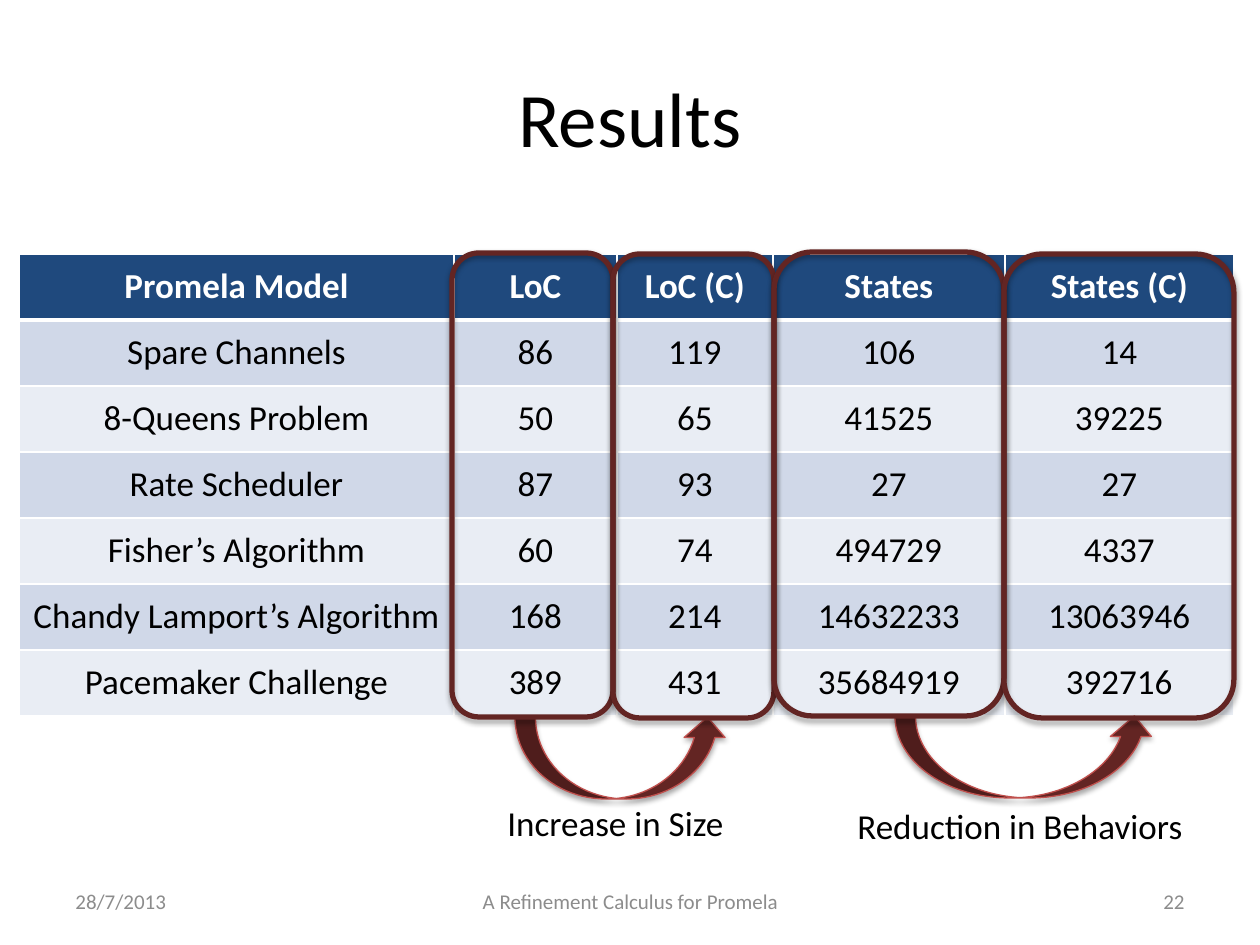
import dataclasses
import itertools

import lxml.etree
import pptx
import pptx.dml.color
import pptx.enum.shapes
import pptx.enum.text
import pptx.oxml.ns
import pptx.util

SCALE = 914400 // 126
ALIGN = pptx.enum.text.PP_ALIGN
ANCHOR = pptx.enum.text.MSO_ANCHOR
SHAPE = pptx.enum.shapes.MSO_SHAPE


@dataclasses.dataclass(frozen=True)
class Theme:
    """Colours, font and type sizes of the slide."""
    font: str = "Calibri"
    ink: str = "000000"
    paper: str = "FFFFFF"
    muted: str = "8C8C8C"
    header: str = "1F497D"
    bands: tuple = ("D0D8E8", "E9EDF4")
    accent: str = "632523"
    accent_edge: str = "C0504D"
    title_size: int = 44
    body_size: int = 20
    footer_size: int = 12


THEME = Theme()

RESULTS = [
    ("Promela Model", "LoC", "LoC (C)", "States", "States (C)"),
    ("Spare Channels", "86", "119", "106", "14"),
    ("8-Queens Problem", "50", "65", "41525", "39225"),
    ("Rate Scheduler", "87", "93", "27", "27"),
    ("Fisher’s Algorithm", "60", "74", "494729", "4337"),
    ("Chandy Lamport’s Algorithm", "168", "214", "14632233", "13063946"),
    ("Pacemaker Challenge", "389", "431", "35684919", "392716"),
]
COLUMN_WIDTHS = (435, 163, 156, 232, 229)
HEADER_HEIGHT, ROW_HEIGHT = 66, 66


def pixels(*lengths):
    """Turn pixel lengths into EMU."""
    return [pptx.util.Emu(length * SCALE) for length in lengths]


def colour(value):
    """Turn a hex string into a colour."""
    return pptx.dml.color.RGBColor.from_string(value)


def write(frame, text, size, ink, align=ALIGN.LEFT, bold=False):
    """Write one run of text into a text frame."""
    paragraph = frame.paragraphs[0]
    paragraph.alignment = align
    run = paragraph.add_run()
    run.text = text
    run.font.name = THEME.font
    run.font.size = pptx.util.Pt(size)
    run.font.bold = bold
    run.font.color.rgb = colour(ink)


def add_text(slide, box, text, size, ink=THEME.ink, align=ALIGN.LEFT, anchor=ANCHOR.MIDDLE):
    """Add a wrapped text box."""
    frame = slide.shapes.add_textbox(*pixels(*box)).text_frame
    frame.word_wrap = True
    frame.vertical_anchor = anchor
    write(frame, text, size, ink, align)


def add_shadow(shape):
    """Give a shape a soft shadow straight below it."""
    shape.shadow.inherit = False
    effects = shape._element.spPr.find(pptx.oxml.ns.qn("a:effectLst"))
    shadow = lxml.etree.SubElement(effects, pptx.oxml.ns.qn("a:outerShdw"),
                                   blurRad="40000", dist="23000", dir="5400000", rotWithShape="0")
    black = lxml.etree.SubElement(shadow, pptx.oxml.ns.qn("a:srgbClr"), val="000000")
    lxml.etree.SubElement(black, pptx.oxml.ns.qn("a:alpha"), val="35000")


def add_marker(slide, kind, box, edge, width, fill=None):
    """Add a shadowed preset shape, hollow unless a fill is given."""
    shape = slide.shapes.add_shape(kind, *pixels(*box))
    if fill:
        shape.fill.solid()
        shape.fill.fore_color.rgb = colour(fill)
    else:
        shape.fill.background()
    shape.line.color.rgb = colour(edge)
    shape.line.width = pptx.util.Pt(width)
    add_shadow(shape)


def add_borders(cell, top, bottom):
    """Draw white borders around a cell, widths in points."""
    properties = cell._tc.get_or_add_tcPr()
    for side, width in (("L", 1), ("R", 1), ("T", top), ("B", bottom)):
        line = lxml.etree.SubElement(properties, pptx.oxml.ns.qn("a:ln" + side),
                                     w=str(pptx.util.Pt(width)))
        fill = lxml.etree.SubElement(line, pptx.oxml.ns.qn("a:solidFill"))
        lxml.etree.SubElement(fill, pptx.oxml.ns.qn("a:srgbClr"), val=THEME.paper)


def add_results_table(slide, left, top):
    """Add the banded table of results."""
    height = HEADER_HEIGHT + ROW_HEIGHT * (len(RESULTS) - 1)
    box = pixels(left, top, sum(COLUMN_WIDTHS), height)
    table = slide.shapes.add_table(len(RESULTS), len(COLUMN_WIDTHS), *box).table
    for column, width in zip(table.columns, pixels(*COLUMN_WIDTHS)):
        column.width = width
    for row_index, values in enumerate(RESULTS):
        heading = row_index == 0
        table.rows[row_index].height = pixels(HEADER_HEIGHT if heading else ROW_HEIGHT)[0]
        for column_index, text in enumerate(values):
            cell = table.cell(row_index, column_index)
            add_borders(cell, 3 if row_index == 1 else 1, 3 if heading else 1)
            cell.fill.solid()
            cell.fill.fore_color.rgb = colour(
                THEME.header if heading else THEME.bands[(row_index - 1) % 2])
            cell.vertical_anchor = ANCHOR.MIDDLE
            write(cell.text_frame, text, THEME.body_size,
                  THEME.paper if heading else THEME.ink, ALIGN.CENTER, heading)


def add_column_frames(slide, left, top, height):
    """Outline the four measured columns side by side."""
    widths = (161, 161, 230, 230)
    lefts = itertools.accumulate(widths, initial=left)
    for frame_left, width, drop in zip(lefts, widths, (1, 2, 0, 2)):
        add_marker(slide, SHAPE.ROUNDED_RECTANGLE, (frame_left, top + drop, width, height),
                   THEME.accent, 3)


def add_comparison(slide, arrow_box, label_box, label):
    """Add a curved arrow between two columns and the label below it."""
    add_marker(slide, SHAPE.CURVED_UP_ARROW, arrow_box, THEME.accent_edge, 0.75, THEME.accent)
    add_text(slide, label_box, label, THEME.body_size, anchor=ANCHOR.TOP)


def add_footer(slide, top, height):
    """Add date, talk name and slide number."""
    for left, width, text, align in (
            (63, 294, "28/7/2013", ALIGN.LEFT),
            (431, 399, "A Refinement Calculus for Promela", ALIGN.CENTER),
            (903, 294, "22", ALIGN.RIGHT)):
        add_text(slide, (left, top, width, height), text, THEME.footer_size, THEME.muted, align)


def build_results_slide(presentation):
    """Build the results slide."""
    slide = presentation.slides.add_slide(presentation.slide_layouts[6])
    add_text(slide, (63, 38, 1134, 157), "Results", THEME.title_size, align=ALIGN.CENTER)
    add_results_table(slide, 19, 254)
    add_comparison(slide, (515, 717, 213, 82), (495, 795, 253, 55), "Increase in Size")
    add_comparison(slide, (895, 716, 260, 82), (845, 798, 352, 55), "Reduction in Behaviors")
    add_column_frames(slide, 452, 252, 464)
    add_footer(slide, 876, 50)


presentation = pptx.Presentation()
presentation.slide_width, presentation.slide_height = pixels(1260, 945)
build_results_slide(presentation)
presentation.save("out.pptx")
